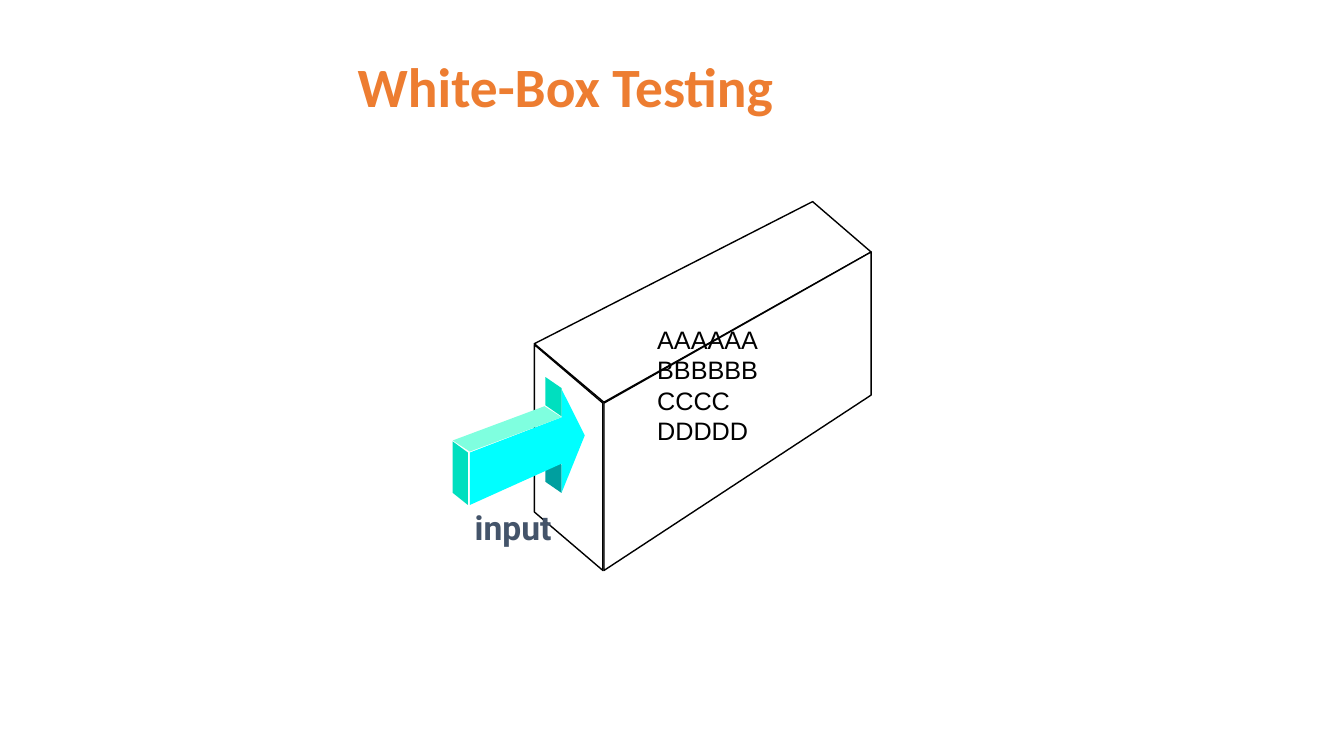
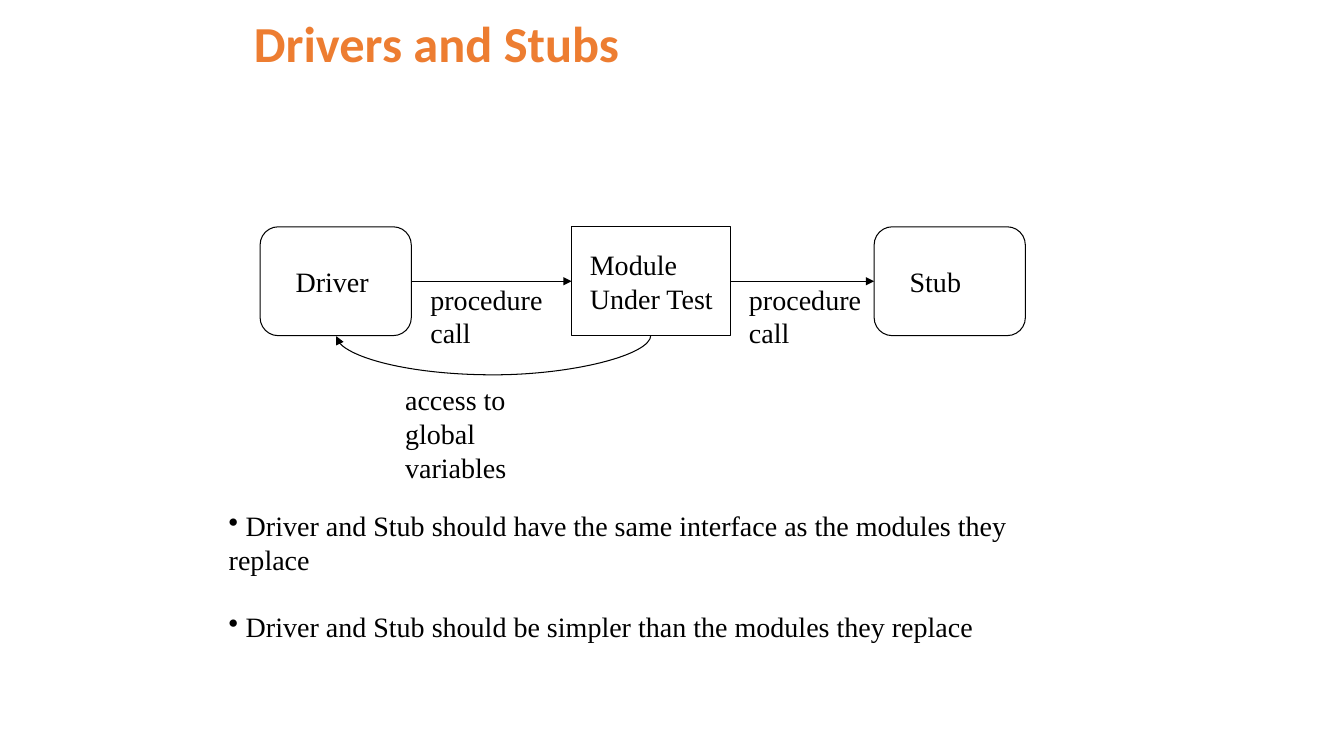
from lxml import etree
from pptx import Presentation
from pptx import util as u
from pptx.dml.color import RGBColor
from pptx.enum import shapes, text
from pptx.oxml.ns import qn

PX = 9144  # 100 px to the inch
ORANGE = RGBColor(0xED, 0x7D, 0x31)
SLATE = RGBColor(0x44, 0x54, 0x6A)
BLACK = RGBColor(0, 0, 0)
WHITE = RGBColor(255, 255, 255)
CYAN = RGBColor(0, 255, 255)
MINT = RGBColor(0x7F, 0xFF, 0xDF)
JADE = RGBColor(0, 0xDF, 0xBF)
TEAL = RGBColor(0, 0x9F, 0x9F)
SERIF = "Times New Roman"
BOX = shapes.MSO_SHAPE.RECTANGLE
ROUND = shapes.MSO_SHAPE.ROUNDED_RECTANGLE


class Deck:
    def __init__(self):
        self.prs = Presentation()
        self.prs.slide_width = 1333 * PX
        self.prs.slide_height = 750 * PX

    def page(self):
        self.items = self.prs.slides.add_slide(self.prs.slide_layouts[6]).shapes

    def fill_text(self, frame, lines, size=20, font=SERIF, color=BLACK,
                  bold=False, bullet=None, gap=0):
        for i, line in enumerate(lines):
            para = frame.add_paragraph() if i else frame.paragraphs[0]
            para.alignment = text.PP_ALIGN.LEFT
            if i and gap:
                para.space_before = u.Pt(gap)
            if bullet:
                mark = etree.SubElement(para._p.get_or_add_pPr(), qn("a:buChar"))
                mark.set("char", bullet)
            run = para.add_run()
            run.text = line
            run.font.size = u.Pt(size)
            run.font.name = font
            run.font.bold = bold
            run.font.color.rgb = color

    def label(self, x, y, w, h, lines, wrap=False, **style):
        frame = self.items.add_textbox(x * PX, y * PX, w * PX, h * PX).text_frame
        frame.word_wrap = wrap
        self.fill_text(frame, lines, **style)
        return frame

    def title(self, x, y, w, h, line, size):
        frame = self.label(x, y, w, h, [line], wrap=True, size=size,
                           font="Calibri", color=ORANGE, bold=True)
        frame.vertical_anchor = text.MSO_ANCHOR.MIDDLE
        frame.paragraphs[0].line_spacing = 0.9

    def face(self, points, fill, edge=False):
        """Draw a closed polygon."""
        pen = self.items.build_freeform(*points[0], scale=PX)
        pen.add_line_segments(points[1:], close=True)
        shape = pen.convert_to_shape()
        shape.shadow.inherit = False
        shape.fill.solid()
        shape.fill.fore_color.rgb = fill
        if edge:
            self.stroke(shape.line, 1)
        else:
            shape.line.fill.background()

    def stroke(self, line, width=0.75):
        line.color.rgb = BLACK
        line.width = u.Pt(width)

    def node(self, kind, x, w, lines, inset):
        shape = self.items.add_shape(kind, x * PX, 225 * PX, w * PX, 108 * PX)
        shape.shadow.inherit = False
        shape.fill.background()
        self.stroke(shape.line)
        frame = shape.text_frame
        frame.word_wrap = True
        frame.margin_left, frame.margin_right = inset * PX, 0
        frame.vertical_anchor = text.MSO_ANCHOR.MIDDLE
        self.fill_text(frame, lines)
        return shape

    def arrow(self, kind, x1, y1, x2, y2):
        link = self.items.add_connector(kind, x1 * PX, y1 * PX, x2 * PX, y2 * PX)
        self.stroke(link.line)
        props = link._element.spPr
        head = etree.SubElement(props.find(qn("a:ln")), qn("a:tailEnd"))
        head.set("type", "triangle")
        etree.SubElement(props, qn("a:effectLst"))
        return link

    def join(self, left, right):
        link = self.arrow(shapes.MSO_CONNECTOR.STRAIGHT, 0, 0, 1, 1)
        link.begin_connect(left, 3)
        link.end_connect(right, 1)

    def loop(self, x1, x2, y, depth):
        """Curve below y from x1 back to x2: a one px wide connector, turned."""
        mid, half = (x1 + x2) // 2, (x1 - x2) // 2
        link = self.arrow(shapes.MSO_CONNECTOR.CURVE,
                          mid, y - half, mid + 1, y + half)
        props = link._element.spPr
        props.find(qn("a:xfrm")).set("rot", "5400000")
        geom = props.find(qn("a:prstGeom"))
        guides = geom.find(qn("a:avLst"))
        if guides is None:
            guides = etree.SubElement(geom, qn("a:avLst"))
        guide = etree.SubElement(guides, qn("a:gd"))
        guide.set("name", "adj1")
        guide.set("fmla", f"val {depth * 100000}")


def white_box(deck):
    deck.page()
    deck.title(345, 74, 703, 29, "White-Box Testing", 39.6)
    for points in (
        [(530, 342), (598, 400), (598, 566), (530, 508)],
        [(530, 341), (599, 399), (864, 250), (806, 200)],
        [(599, 400), (599, 566), (864, 392), (864, 250)],
    ):
        deck.face(points, WHITE, edge=True)
    for fill, points in (
        (TEAL, [(557, 489), (557, 461), (541, 450), (541, 478)]),
        (CYAN, [(557, 414), (466, 449), (466, 501), (557, 460),
                (557, 489), (580, 432), (557, 386)]),
        (JADE, [(464, 449), (464, 501), (449, 489), (449, 438)]),
        (MINT, [(449, 437), (466, 448), (557, 414), (540, 403)]),
        (JADE, [(557, 385), (541, 374), (541, 402), (557, 413)]),
    ):
        deck.face(points, fill)
    deck.label(461, 498, 102, 50, ["input"], size=24, font="Roboto",
               color=SLATE, bold=True)
    deck.label(642, 317, 183, 131, ["AAAAAA", "BBBBBB", "CCCC", "DDDDD"],
               wrap=True, size=18, font="Arial")


def drivers(deck):
    deck.page()
    deck.title(242, 0, 842, 92, "Drivers and Stubs", 36)
    driver = deck.node(ROUND, 258, 150, ["Driver"], 30)
    module = deck.node(BOX, 567, 158, ["Module", "Under Test"], 18)
    stub = deck.node(ROUND, 867, 150, ["Stub"], 30)
    for x in (417, 733):
        deck.label(x, 275, 131, 77, ["procedure", "call"])
    deck.loop(646, 333, 333, 40)
    deck.join(driver, module)
    deck.join(module, stub)
    deck.label(392, 375, 150, 110, ["access to global", "variables"], wrap=True)
    deck.label(217, 500, 832, 144, [
        " Driver and Stub should have the same interface as the modules they replace",
        " Driver and Stub should be simpler than the modules they replace",
    ], wrap=True, bullet="•", gap=24)


def main():
    deck = Deck()
    white_box(deck)
    drivers(deck)
    deck.prs.save("out.pptx")


if __name__ == "__main__":
    main()
